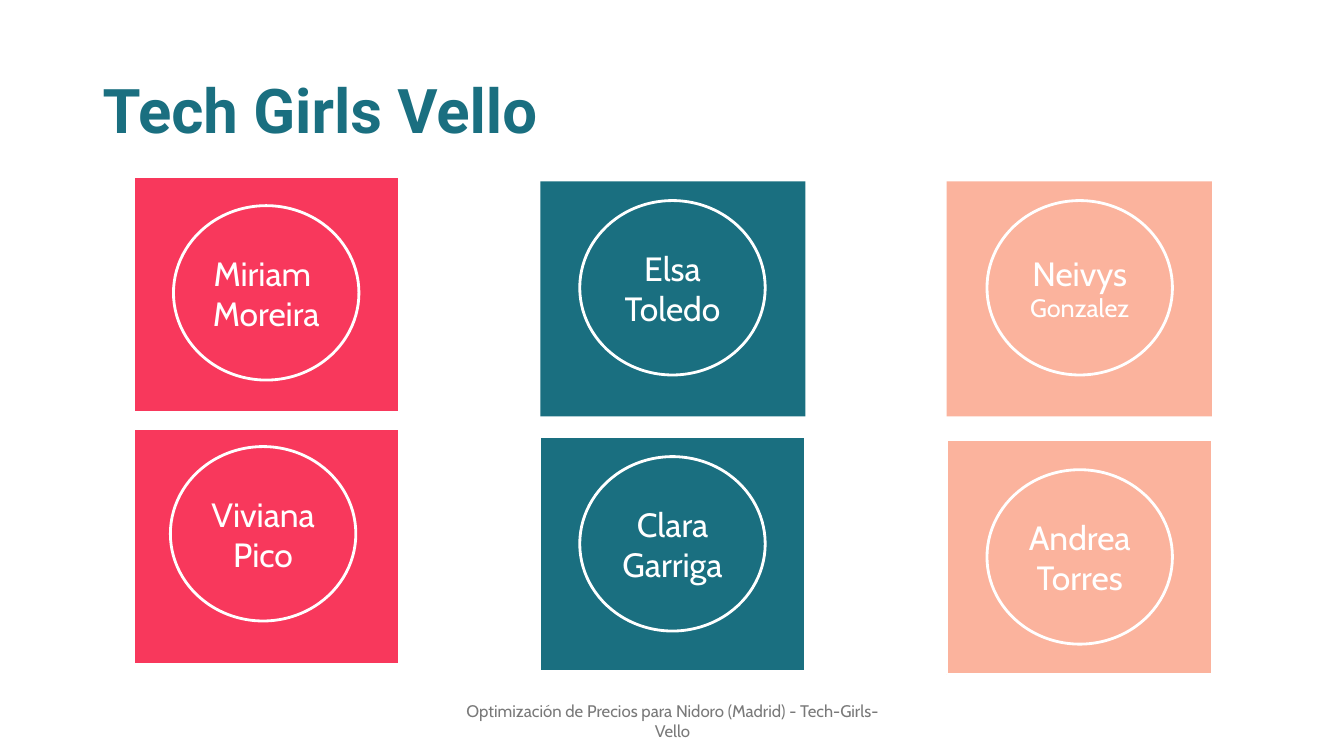
"""Build the team slide: six name cards on a grid of three columns and two rows."""
from dataclasses import dataclass

from pptx import Presentation, util as u
from pptx.dml.color import RGBColor
from pptx.enum import shapes, text


@dataclass(frozen=True)
class Theme:
    """Colours, fonts and type sizes."""
    teal: str = "1A6F80"
    red: str = "F8385C"
    peach: str = "FBB39D"
    white: str = "FFFFFF"
    grey: str = "797979"
    heading_font: str = "Roboto"
    body_font: str = "Cabin"
    title_size: float = 44
    name_size: float = 24
    small_name_size: float = 18
    footer_size: float = 12
    card_edge: float = 1.5
    ring_edge: float = 2


@dataclass(frozen=True)
class Area:
    """A rectangle in percent of the slide's width and height."""
    left: float
    top: float
    width: float
    height: float


@dataclass(frozen=True)
class Card:
    """A member's card; drop and ring offsets are in percent of the slide."""
    name: str
    column: int
    row: int
    drop: float
    ring_left: float
    ring_top: float
    edged: bool = True
    small_name: str = ""


THEME = Theme()
WIDTH, HEIGHT = u.Inches(13.33), u.Inches(7.5)
GRID = Area(9.98, 24, 30.23, 33.73)
CARD_WIDTH, CARD_HEIGHT = 19.73, 31.07
RING_WIDTH, RING_HEIGHT = 13.8, 23.07
COLUMN_COLOURS = (THEME.red, THEME.teal, THEME.peach)
TITLE_AREA = Area(6.9, 5.33, 86.27, 19.33)
FOOTER_AREA = Area(33.16, 92.67, 33.76, 5.33)
CARDS = (
    Card("Elsa Toledo", 1, 0, 0, 2.93, 2.53, edged=False),
    Card("Viviana Pico", 0, 1, -0.93, 2.7, 2.27),
    Card("Clara Garriga", 1, 1, 0, 2.93, 2.67),
    Card("Neivys", 2, 0, 0, 3, 2.53, edged=False, small_name=" Gonzalez"),
    Card("Andrea Torres", 2, 1, 0.4, 3, 4),
    Card("Miriam \vMoreira", 0, 0, -0.53, 2.93, 3.73),
)


def place(area: Area) -> tuple[int, int, int, int]:
    """Turn an area into slide lengths."""
    return (round(WIDTH * area.left / 100), round(HEIGHT * area.top / 100),
            round(WIDTH * area.width / 100), round(HEIGHT * area.height / 100))


def write(shape, words: str, font: str, size: float, colour: str,
          align=text.PP_ALIGN.CENTER, bold: bool = False):
    """Fill a shape with one styled paragraph and return it."""
    frame = shape.text_frame
    frame.word_wrap = True
    frame.vertical_anchor = text.MSO_ANCHOR.MIDDLE
    para = frame.paragraphs[0]
    para.text = words
    para.alignment = align
    para.font.name = font
    para.font.size = u.Pt(size)
    para.font.bold = bold
    para.font.color.rgb = RGBColor.from_string(colour)
    return para


def draw_shape(parent, kind, area: Area, colour: str, edge: float):
    """Draw a filled shape with a white edge, or none when edge is zero."""
    shape = parent.shapes.add_shape(kind, *place(area))
    shape.shadow.inherit = False
    shape.fill.solid()
    shape.fill.fore_color.rgb = RGBColor.from_string(colour)
    if edge:
        shape.line.color.rgb = RGBColor.from_string(THEME.white)
        shape.line.width = u.Pt(edge)
    else:
        shape.line.fill.background()
    return shape


def draw_card(page, card: Card) -> None:
    """Draw a card and its ringed name as one group."""
    left = GRID.left + card.column * GRID.width
    top = GRID.top + card.row * GRID.height + card.drop
    colour = COLUMN_COLOURS[card.column]
    group = page.shapes.add_group_shape()
    draw_shape(group, shapes.MSO_SHAPE.RECTANGLE,
               Area(left, top, CARD_WIDTH, CARD_HEIGHT), colour,
               THEME.card_edge if card.edged else 0)
    ring = draw_shape(group, shapes.MSO_SHAPE.OVAL,
                      Area(left + card.ring_left, top + card.ring_top, RING_WIDTH, RING_HEIGHT),
                      colour, THEME.ring_edge)
    para = write(ring, card.name, THEME.body_font, THEME.name_size, THEME.white)
    if card.small_name:
        span = para.add_run()
        span.text = card.small_name
        span.font.size = u.Pt(THEME.small_name_size)


def main() -> None:
    """Build and save the deck."""
    deck = Presentation()
    deck.slide_width, deck.slide_height = WIDTH, HEIGHT
    page = deck.slides.add_slide(deck.slide_layouts[6])
    title = page.shapes.add_textbox(*place(TITLE_AREA))
    heading = write(title, "Tech Girls Vello", THEME.heading_font, THEME.title_size,
                    THEME.teal, text.PP_ALIGN.LEFT, bold=True)
    heading.line_spacing = 0.9
    footer = page.shapes.add_textbox(*place(FOOTER_AREA))
    write(footer, "Optimización de Precios para Nidoro (Madrid) - Tech-Girls-Vello",
          THEME.body_font, THEME.footer_size, THEME.grey)
    for card in CARDS:
        draw_card(page, card)
    deck.save("out.pptx")


if __name__ == "__main__":
    main()
